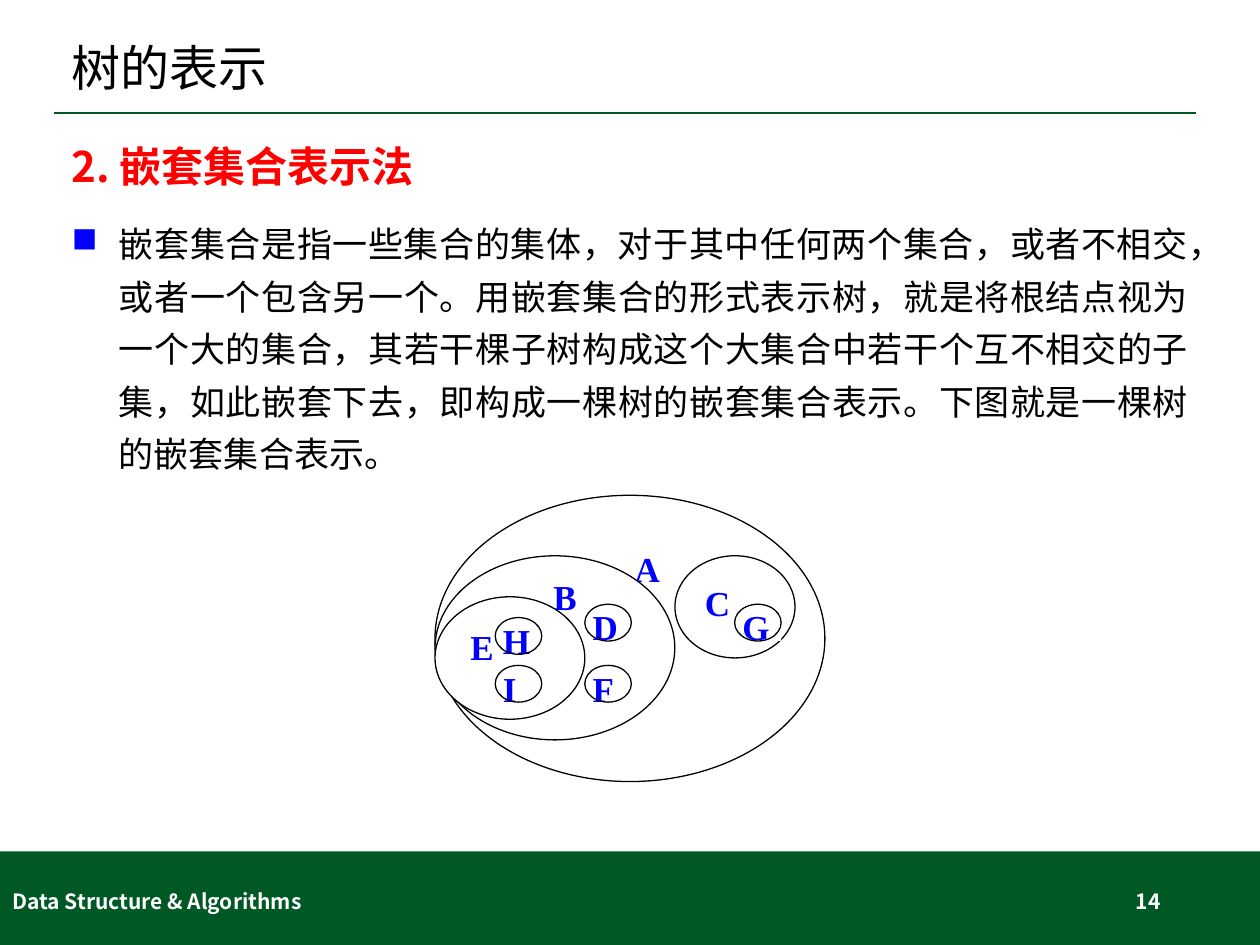
"""Build a slide on the nested-set representation of a tree."""
from lxml import etree
from pptx import Presentation
from pptx.dml.color import RGBColor
from pptx.enum.shapes import MSO_CONNECTOR, MSO_SHAPE
from pptx.enum.text import MSO_ANCHOR, PP_ALIGN
from pptx.oxml.ns import qn
from pptx.util import Pt

OVAL, RECT = MSO_SHAPE.OVAL, MSO_SHAPE.RECTANGLE
LEFT, RIGHT, JUSTIFY = PP_ALIGN.LEFT, PP_ALIGN.RIGHT, PP_ALIGN.JUSTIFY
TOP, MIDDLE = MSO_ANCHOR.TOP, MSO_ANCHOR.MIDDLE

THEME = {
    "green": "005825", "white": "FFFFFF", "black": "000000",
    "red": "FF0000", "blue": "0000FF",
    "title_font": "Calibri", "cjk_font": "Noto Sans CJK SC",
    "label_font": "Times New Roman",
    "title": 28, "heading": 24, "body": 20, "footer": 12,
}

TITLE = "树的表示"
HEADING = "2. 嵌套集合表示法"
BODY = ("嵌套集合是指一些集合的集体，对于其中任何两个集合，或者不相交，"
        "或者一个包含另一个。用嵌套集合的形式表示树，就是将根结点视为"
        "一个大的集合，其若干棵子树构成这个大集合中若干个互不相交的子"
        "集，如此嵌套下去，即构成一棵树的嵌套集合表示。下图就是一棵树"
        "的嵌套集合表示。")
FOOTERS = [
    ("Data Structure & Algorithms", (0, 500.4, 243.4, 28.8), LEFT),
    ("14", (508.3, 500.4, 162, 28.8), RIGHT),
]
OUTER_SETS = [
    ("A", (248.6, 283, 222.8, 163.6), 81.4, 1),
    ("B", (248.6, 317.6, 137, 105.2), 47.6, 0.5),
    ("C", (385.7, 317.6, 68.6, 58.4), 7, 1),
    ("E", (248.6, 341, 85.6, 70), 7.7, 1),
]
LEAF_SETS = [("D", 334.2, 345.3), ("F", 334.2, 380.2), ("H", 283, 352.9),
             ("I", 283, 380.2), ("G", 419.8, 345.3)]
LEAF_SIZE = (26.6, 21)
LEAF_LABEL_OFFSET = (4.4, -4)
LEAF_LABEL_SIZE = (22.2, 25)


def points(values):
    return [Pt(value) for value in values]


def color(name):
    return RGBColor.from_string(THEME[name])


def add_text(paragraph, text, font, size, ink, bold=False, align=LEFT):
    paragraph.alignment = align
    run = paragraph.add_run()
    run.text = text
    run.font.name = THEME[font]
    run.font.size = Pt(THEME[size])
    run.font.bold = bold
    run.font.color.rgb = color(ink)
    east_asian = etree.SubElement(run.font._element, qn("a:ea"))
    east_asian.set("typeface", THEME["cjk_font"])


def add_box(slide, box, anchor=TOP):
    frame = slide.shapes.add_textbox(*points(box)).text_frame
    frame.word_wrap = True
    frame.vertical_anchor = anchor
    return frame


def add_part(shapes, kind, box, fill=None, outline=None):
    part = shapes.add_shape(kind, *points(box))
    part.shadow.inherit = False
    if fill:
        part.fill.solid()
        part.fill.fore_color.rgb = color(fill)
    else:
        part.fill.background()
    if outline:
        part.line.color.rgb = color(outline)
        part.line.width = Pt(0.75)
    else:
        part.line.fill.background()
    return part


def add_label(part, letter, left, top, spacing=1):
    frame = part.text_frame
    frame.word_wrap = True
    frame.vertical_anchor = TOP
    frame.margin_left, frame.margin_top = Pt(left), Pt(top)
    frame.margin_right = frame.margin_bottom = 0
    paragraph = frame.paragraphs[0]
    paragraph.line_spacing = spacing
    add_text(paragraph, letter, "label_font", "body", "blue", True)


def add_frame(slide):
    add_part(slide.shapes, RECT, (0, 486.5, 720, 53.5), "green")
    rule = slide.shapes.add_connector(
        MSO_CONNECTOR.STRAIGHT, *points((31, 64.6, 683.4, 64.6)))
    rule.line.color.rgb = color("green")
    rule.line.width = Pt(1)
    etree.SubElement(rule._element.spPr, qn("a:effectLst"))
    for text, box, align in FOOTERS:
        frame = add_box(slide, box, MIDDLE)
        add_text(frame.paragraphs[0], text, "cjk_font", "footer", "white",
                 True, align)


def add_title(slide):
    title = slide.shapes.title
    title.left, title.top, title.width, title.height = points(
        (33.8, 16.6, 652.4, 47.5))
    title.text_frame.vertical_anchor = MIDDLE
    paragraph = title.text_frame.paragraphs[0]
    paragraph.line_spacing = 0.9
    add_text(paragraph, TITLE, "title_font", "title", "black")


def add_body(slide):
    frame = add_box(slide, (33.8, 77, 652.4, 200))
    heading, body = frame.paragraphs[0], frame.add_paragraph()
    for paragraph, before in ((heading, 6), (body, 12)):
        paragraph.space_before = Pt(before)
        properties = paragraph._p.get_or_add_pPr()
        properties.set("marL", str(Pt(27)))
        properties.set("indent", str(Pt(-27)))
    body.line_spacing = 1.25
    properties = body._p.get_or_add_pPr()
    bullet_color = etree.SubElement(properties, qn("a:buClr"))
    etree.SubElement(bullet_color, qn("a:srgbClr")).set("val", THEME["blue"])
    etree.SubElement(properties, qn("a:buChar")).set("char", "■")
    add_text(heading, HEADING, "cjk_font", "heading", "red", True, JUSTIFY)
    add_text(body, BODY, "cjk_font", "body", "black", align=JUSTIFY)


def add_nested_sets(slide):
    diagram = slide.shapes.add_group_shape().shapes
    for letter, box, inset, spacing in OUTER_SETS:
        outer = add_part(diagram, OVAL, box, "white", "black")
        add_label(outer, letter, inset, 6, spacing)
    for letter, left, top in LEAF_SETS:
        shift_x, shift_y = LEAF_LABEL_OFFSET
        backing = add_part(
            diagram, RECT,
            (left + shift_x, top + shift_y, *LEAF_LABEL_SIZE), "white")
        add_label(backing, letter, 0, 5)
        add_part(diagram, OVAL, (left, top, *LEAF_SIZE), outline="black")


def main():
    deck = Presentation()
    deck.slide_width, deck.slide_height = Pt(720), Pt(540)
    slide = deck.slides.add_slide(deck.slide_layouts[5])
    add_frame(slide)
    add_title(slide)
    add_body(slide)
    add_nested_sets(slide)
    deck.save("out.pptx")


if __name__ == "__main__":
    main()
